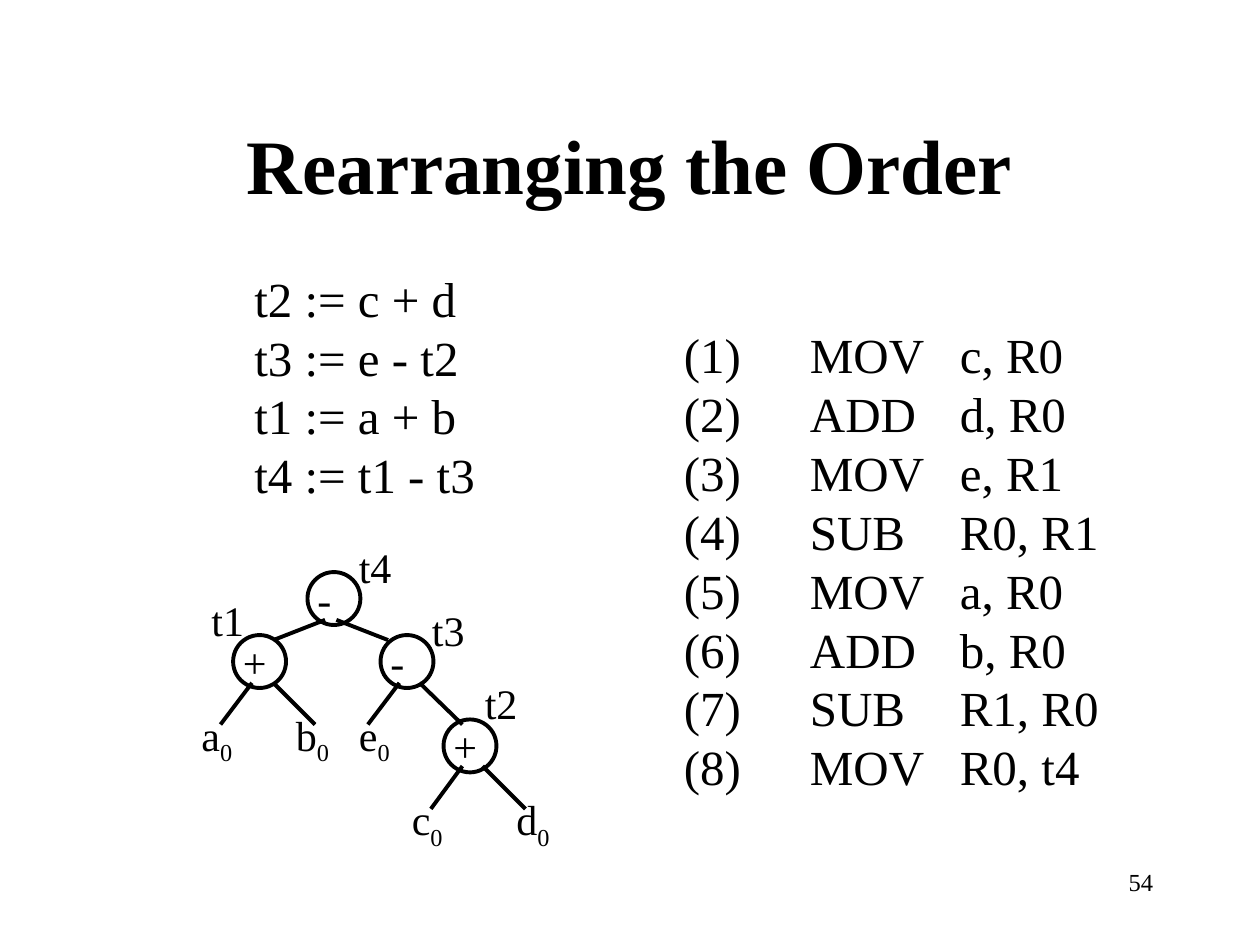
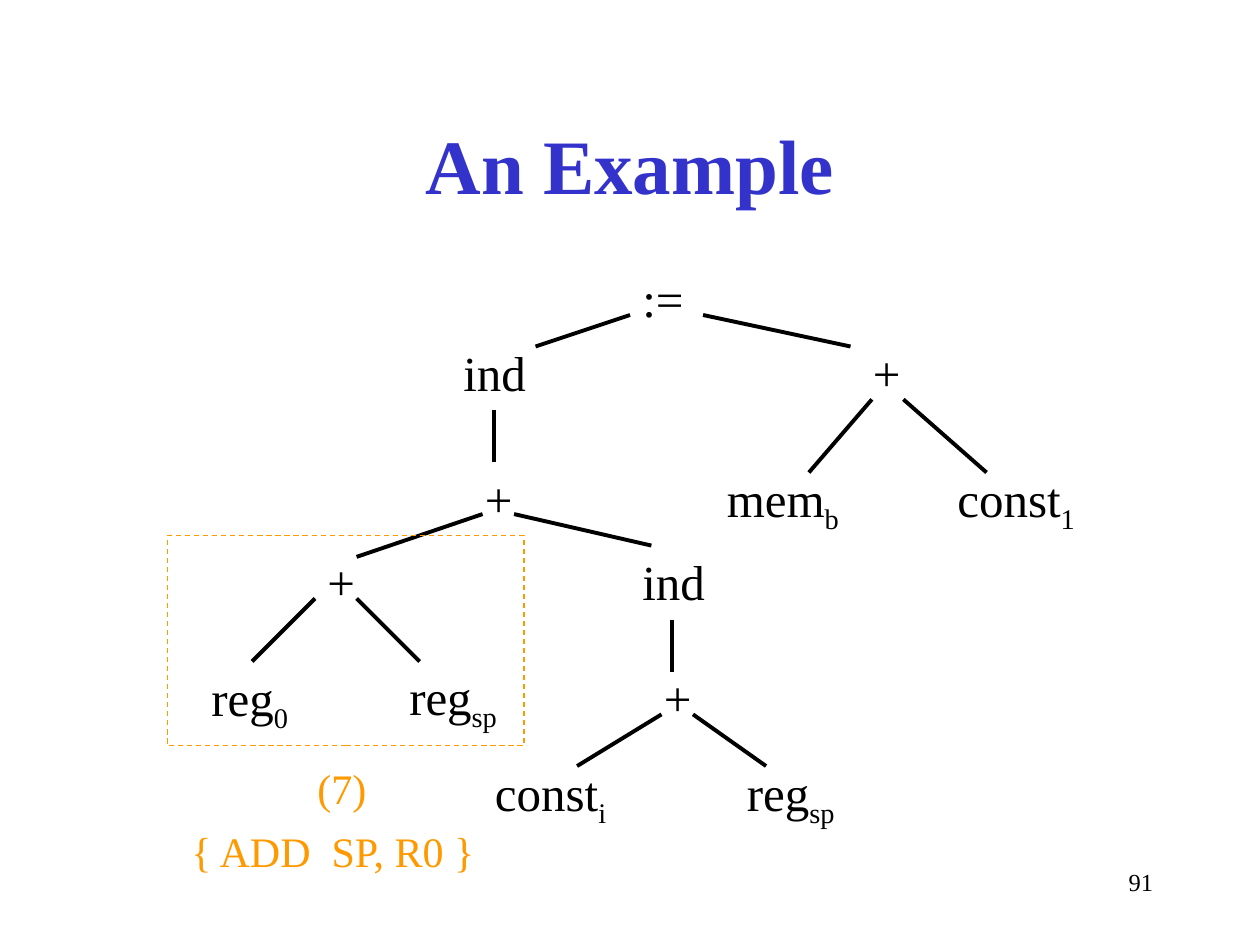
from dataclasses import dataclass

from lxml import etree
from pptx import Presentation
from pptx.dml.color import RGBColor
from pptx.enum.dml import MSO_LINE
from pptx.enum.shapes import MSO_CONNECTOR, MSO_SHAPE
from pptx.enum.text import MSO_ANCHOR, MSO_AUTO_SIZE, PP_ALIGN
from pptx.oxml.ns import qn
from pptx.util import Inches, Pt

STRAIGHT = MSO_CONNECTOR.STRAIGHT
OVAL, RECTANGLE = MSO_SHAPE.OVAL, MSO_SHAPE.RECTANGLE
LEFT, CENTER, RIGHT = PP_ALIGN.LEFT, PP_ALIGN.CENTER, PP_ALIGN.RIGHT
TOP, MIDDLE = MSO_ANCHOR.TOP, MSO_ANCHOR.MIDDLE
FIT, FIXED = MSO_AUTO_SIZE.SHAPE_TO_FIT_TEXT, MSO_AUTO_SIZE.NONE


@dataclass(frozen=True)
class Theme:
    font: str = "Times New Roman"
    ink: str = "000000"
    blue: str = "3333CC"
    orange: str = "FF9900"
    title: int = 44
    body: int = 28
    label: int = 24
    number: int = 14
    branch: float = 2.25
    frame: float = 0.75


THEME = Theme()
LINE_HEIGHT = {THEME.body: 0.57, THEME.label: 0.5}
TITLE_AREA = (0.75, 0.67, 8.5, 1.25)
NUMBER_AREA = (7.17, 6.83, 2.08, 0.5)

# Slide: rearranging the order
STATEMENTS = ["t2 := c + d", "t3 := e - t2", "t1 := a + b", "t4 := t1 - t3"]
STATEMENTS_AREA = (1.92, 2.08, 1.95, 1.97)
INSTRUCTIONS = [
    ("MOV", "c, R0"), ("ADD", "d, R0"), ("MOV", "e, R1"), ("SUB", "R0, R1"),
    ("MOV", "a, R0"), ("ADD", "b, R0"), ("SUB", "R1, R0"), ("MOV", "R0, t4"),
]
INSTRUCTIONS_AREA = (5.33, 2.53, 3.5, 3.84)
INSTRUCTION_TABS = (1, 2.19)
CIRCLE_SIZE = 0.42
CIRCLE_INSET = (0.02, 0.04)
# operator, left, top, width
OPERATORS = [("-", 2.42, 4.5, 0.31), ("+", 1.83, 5, 0.39),
             ("-", 3, 5, 0.31), ("+", 3.5, 5.67, 0.39)]
# name, left, top
TEMPORARIES = [("t1", 1.58, 4.67), ("t2", 3.75, 5.33),
               ("t3", 3.33, 4.75), ("t4", 2.75, 4.25)]
# operand, left, top, width
OPERANDS = [("a", 1.5, 5.58, 0.46), ("b", 2.25, 5.58, 0.58),
            ("e", 2.75, 5.58, 0.46), ("c", 3.17, 6.25, 0.46),
            ("d", 4, 6.25, 0.58)]
ORDER_BRANCHES = [
    ((2.58, 4.92), (2.17, 5.08)), ((2.67, 4.92), (3.08, 5.08)),
    ((3.33, 5.42), (3.67, 5.75)), ((3.17, 5.42), (2.92, 5.75)),
    ((2.17, 5.42), (2.5, 5.75)), ((2, 5.42), (1.75, 5.75)),
    ((3.83, 6.08), (4.17, 6.42)), ((3.67, 6.08), (3.42, 6.42)),
]

# Slide: an example. Text, subscript, left, top, width
EXAMPLE_NODES = [
    (":=", "", 5, 2.08, 0.53), ("ind", "", 3.58, 2.67, 0.7),
    ("+", "", 6.83, 2.67, 0.42), ("mem", "b", 5.67, 3.67, 1.11),
    ("const", "1", 7.5, 3.67, 1.15), ("+", "", 3.75, 3.67, 0.42),
    ("+", "", 2.5, 4.33, 0.42), ("+", "", 5.17, 5.25, 0.42),
    ("ind", "", 5, 4.33, 0.7), ("const", "i", 3.83, 6, 1.09),
    ("reg", "0", 1.58, 5.25, 0.83), ("reg", "sp", 3.15, 5.24, 0.93),
    ("reg", "sp", 5.83, 6, 0.93),
]
EXAMPLE_BRANCHES = [
    ((5, 2.5), (4.25, 2.75)), ((5.58, 2.5), (6.75, 2.75)),
    ((6.92, 3.17), (6.42, 3.75)), ((7.17, 3.17), (7.83, 3.75)),
    ((3.92, 3.25), (3.92, 3.67)), ((3.83, 4.08), (2.83, 4.42)),
    ((4.08, 4.08), (5.17, 4.33)), ((2.5, 4.75), (2, 5.25)),
    ((2.83, 4.75), (3.33, 5.25)), ((5.33, 4.92), (5.33, 5.33)),
    ((5.25, 5.67), (4.58, 6.08)), ((5.5, 5.67), (6.08, 6.08)),
]
MATCH_FRAME = (1.33, 4.25, 2.83, 1.67)
# text, left, top, width
MATCH_NOTES = [("(7)", 2.42, 6, 0.59), ("{ ADD  SP, R0 }", 1.42, 6.5, 2.51)]


def inches(values):
    return [Inches(value) for value in values]


def add_span(para, text, size, color, bold=False):
    span = para.add_run()
    span.text = text
    font_format = {"name": THEME.font, "size": Pt(size), "bold": bold}
    for attribute, value in font_format.items():
        setattr(span.font, attribute, value)
    span.font.color.rgb = RGBColor.from_string(color)
    return span


def add_tab_stops(para, stops):
    tabs = etree.SubElement(para._p.get_or_add_pPr(), qn("a:tabLst"))
    for stop in stops:
        etree.SubElement(tabs, qn("a:tab"), pos=str(Inches(stop)), algn="l")


def add_text(shapes, lines, area, size, color=THEME.ink, bold=False, align=LEFT,
             anchor=TOP, wrap=False, fit=FIT, subscript="", tabs=()):
    """Write one paragraph per line; the subscript follows the last line."""
    frame = shapes.add_textbox(*inches(area)).text_frame
    frame_format = {"word_wrap": wrap, "auto_size": fit, "vertical_anchor": anchor}
    for attribute, value in frame_format.items():
        setattr(frame, attribute, value)
    for index, line in enumerate(lines):
        para = frame.add_paragraph() if index else frame.paragraphs[0]
        para.alignment = align
        if tabs:
            add_tab_stops(para, tabs)
        add_span(para, line, size, color, bold)
    if subscript:
        span = add_span(para, subscript, size, color, bold)
        span._r.get_or_add_rPr().set("baseline", "-25000")


def add_label(shapes, text, left, top, width, size, **options):
    add_text(shapes, [text], (left, top, width, LINE_HEIGHT[size]), size, **options)


def add_outline(shapes, kind, area, color, weight, dash=None):
    outline = shapes.add_shape(kind, *inches(area))
    outline.shadow.inherit = False
    outline.fill.background()
    outline.line.color.rgb = RGBColor.from_string(color)
    outline.line.width = Pt(weight)
    if dash:
        outline.line.dash_style = dash


def add_branches(shapes, branches):
    for start, end in branches:
        branch = shapes.add_connector(STRAIGHT, *inches(start + end))
        branch.line.color.rgb = RGBColor.from_string(THEME.ink)
        branch.line.width = Pt(THEME.branch)
        etree.SubElement(branch._element.spPr, qn("a:effectLst"))


def add_page(deck, title, number, title_color=THEME.ink):
    shapes = deck.slides.add_slide(deck.slide_layouts[6]).shapes
    add_text(shapes, [number], NUMBER_AREA, THEME.number, align=RIGHT,
             wrap=True, fit=FIXED)
    add_text(shapes, [title], TITLE_AREA, THEME.title, title_color, bold=True,
             align=CENTER, anchor=MIDDLE, wrap=True, fit=FIXED)
    return shapes


def build_order_page(deck):
    shapes = add_page(deck, "Rearranging the Order", "54")
    add_text(shapes, STATEMENTS, STATEMENTS_AREA, THEME.body)
    listing = [f"({step})\t{code}\t{arguments}"
               for step, (code, arguments) in enumerate(INSTRUCTIONS, 1)]
    add_text(shapes, listing, INSTRUCTIONS_AREA, THEME.body, tabs=INSTRUCTION_TABS)

    tree = shapes.add_group_shape().shapes
    for operator, left, top, width in OPERATORS:
        add_label(tree, operator, left, top, width, THEME.label)
        circle = (left + CIRCLE_INSET[0], top + CIRCLE_INSET[1], CIRCLE_SIZE, CIRCLE_SIZE)
        add_outline(tree, OVAL, circle, THEME.ink, THEME.branch)
    add_branches(tree, ORDER_BRANCHES)
    for operand, left, top, width in OPERANDS:
        add_label(tree, operand, left, top, width, THEME.label,
                  subscript="0", wrap=True)
    for name, left, top in TEMPORARIES:
        add_label(tree, name, left, top, 0.46, THEME.label)


def build_example_page(deck):
    shapes = add_page(deck, "An Example", "91", THEME.blue)
    for text, subscript, left, top, width in EXAMPLE_NODES:
        add_label(shapes, text, left, top, width, THEME.body, subscript=subscript)
    add_branches(shapes, EXAMPLE_BRANCHES)
    add_outline(shapes, RECTANGLE, MATCH_FRAME, THEME.orange, THEME.frame,
                MSO_LINE.DASH)
    for note, left, top, width in MATCH_NOTES:
        add_label(shapes, note, left, top, width, THEME.label, color=THEME.orange)


def main():
    deck = Presentation()
    deck.slide_width, deck.slide_height = inches((10, 7.5))
    build_order_page(deck)
    build_example_page(deck)
    deck.save("out.pptx")


if __name__ == "__main__":
    main()
